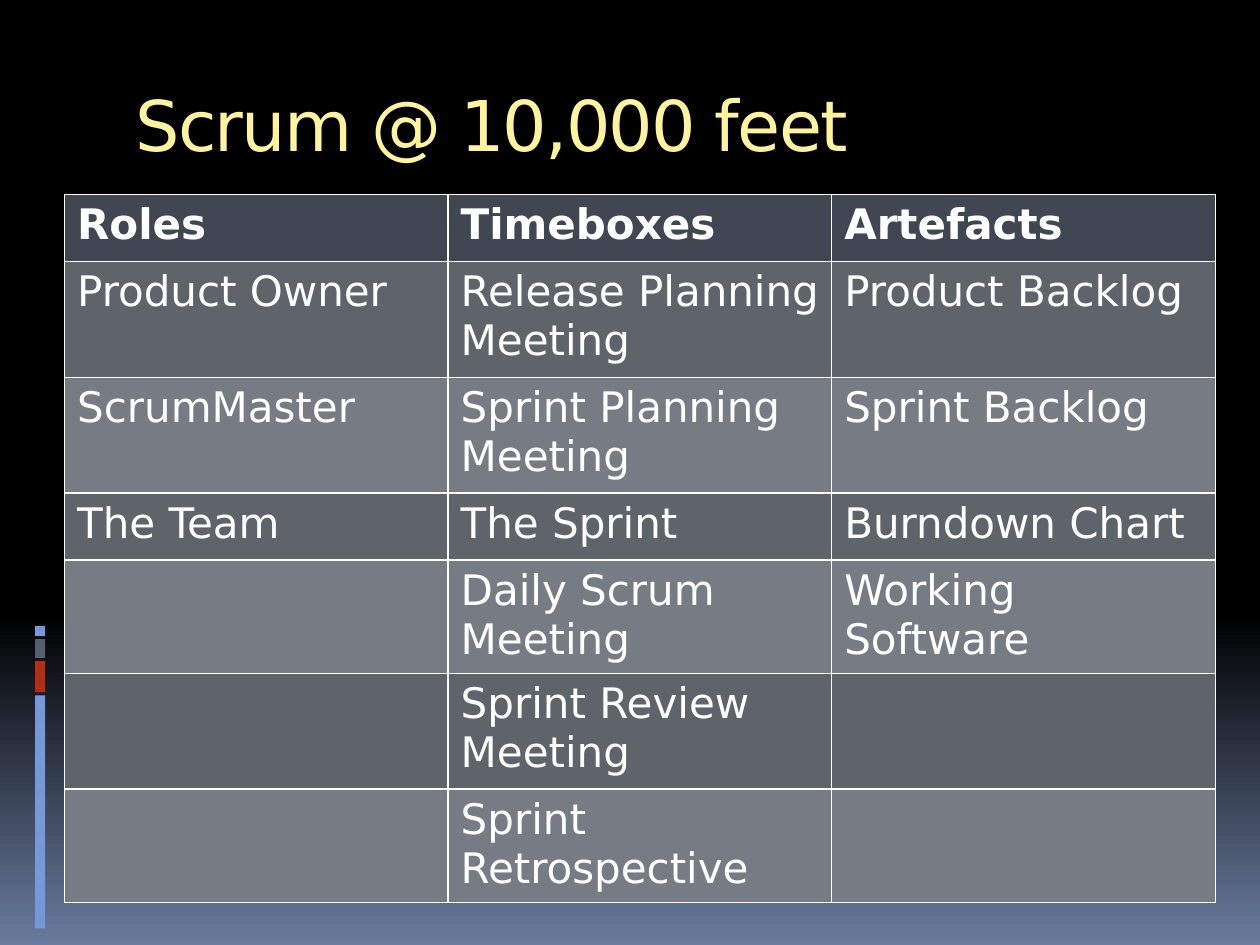
from dataclasses import dataclass

from lxml.etree import SubElement
from pptx import Presentation
from pptx.dml.color import RGBColor
from pptx.enum.text import MSO_ANCHOR
from pptx.enum.shapes import MSO_SHAPE
from pptx.oxml.ns import qn
from pptx.util import Pt

FONT = "DejaVu Sans"
COLORS = {
    "black": "000000", "haze": "697B9E", "blue": "7598D9", "red": "B32C16",
    "slate": "575F6D", "title": "FFF39D", "white": "FFFFFF",
    "head": "414752", "dark": "5F636A", "light": "777C84",
}


@dataclass
class Bar:
    top: float
    height: float
    color: str


@dataclass
class Row:
    height: float
    texts: tuple


BARS = [
    Bar(397.4, 133.2, "blue"),
    Bar(377.7, 18, "red"),
    Bar(365.2, 10.8, "slate"),
    Bar(357.7, 5.8, "blue"),
]
ROWS = [
    Row(38.3, ("Roles", "Timeboxes", "Artefacts")),
    Row(66.1, ("Product Owner", "Release Planning Meeting", "Product Backlog")),
    Row(66.1, ("ScrumMaster", "Sprint Planning Meeting", "Sprint Backlog")),
    Row(38.3, ("The Team", "The Sprint", "Burndown Chart")),
    Row(63, ("", "Daily Scrum Meeting", "Working Software")),
    Row(66.1, ("", "Sprint Review Meeting", "")),
    Row(63, ("", "Sprint Retrospective", "")),
]
COL_WIDTH = 219.2


def rgb(name: str) -> RGBColor:
    return RGBColor.from_string(COLORS[name])


def add_run(para, text: str, size: float, color: str, bold: bool = False):
    run = para.add_run()
    run.text = text
    run.font.name = FONT
    run.font.size = Pt(size)
    run.font.bold = bold
    run.font.color.rgb = rgb(color)
    return run


def paint_back(slide) -> None:
    fill = slide.background.fill
    fill.gradient()
    fill.gradient_angle = 270
    for stop, (place, color) in zip(fill.gradient_stops, [(0.65, "black"), (1, "haze")]):
        stop.position = place
        stop.color.rgb = rgb(color)


def draw_bar(slide, bar: Bar) -> None:
    shape = slide.shapes.add_shape(
        MSO_SHAPE.RECTANGLE, Pt(20), Pt(bar.top), Pt(5.8), Pt(bar.height))
    shape.shadow.inherit = False
    shape.fill.solid()
    shape.fill.fore_color.rgb = rgb(bar.color)
    shape.line.fill.background()


def draw_title(slide, text: str) -> None:
    frame = slide.shapes.add_textbox(Pt(72), Pt(40.3), Pt(612), Pt(72)).text_frame
    frame.word_wrap = True
    frame.vertical_anchor = MSO_ANCHOR.TOP
    frame.margin_left = Pt(5.5)
    frame.margin_top = Pt(6)
    run = add_run(frame.paragraphs[0], text, 40, "title")
    run.font._element.set("spc", "-100")  # tracking of -1 pt


def add_edges(cell) -> None:
    """Draw a thin white line on all four sides; call before the fill is set."""
    props = cell._tc.get_or_add_tcPr()
    for side in ("lnL", "lnR", "lnT", "lnB"):
        line = SubElement(props, qn(f"a:{side}"), w=str(Pt(1)))
        solid = SubElement(line, qn("a:solidFill"))
        SubElement(solid, qn("a:srgbClr"), val=COLORS["white"])


def draw_table(slide, rows: list[Row]) -> None:
    cols = len(rows[0].texts)
    table = slide.shapes.add_table(
        len(rows), cols, Pt(36.9), Pt(111.2), Pt(cols * COL_WIDTH),
        Pt(sum(row.height for row in rows))).table
    for col in table.columns:
        col.width = Pt(COL_WIDTH)
    for r, row in enumerate(rows):
        table.rows[r].height = Pt(row.height)
        color = "head" if r == 0 else "dark" if r % 2 else "light"
        for c, text in enumerate(row.texts):
            cell = table.cell(r, c)
            add_edges(cell)
            cell.fill.solid()
            cell.fill.fore_color.rgb = rgb(color)
            if text:
                add_run(cell.text_frame.paragraphs[0], text, 24, "white", r == 0)


def main() -> None:
    deck = Presentation()
    deck.slide_width, deck.slide_height = Pt(720), Pt(540)
    slide = deck.slides.add_slide(deck.slide_layouts[6])
    paint_back(slide)
    # Accent strip at the left edge
    for bar in BARS:
        draw_bar(slide, bar)
    # Title and table
    draw_title(slide, "Scrum @ 10,000 feet")
    draw_table(slide, ROWS)
    deck.save("out.pptx")


if __name__ == "__main__":
    main()
